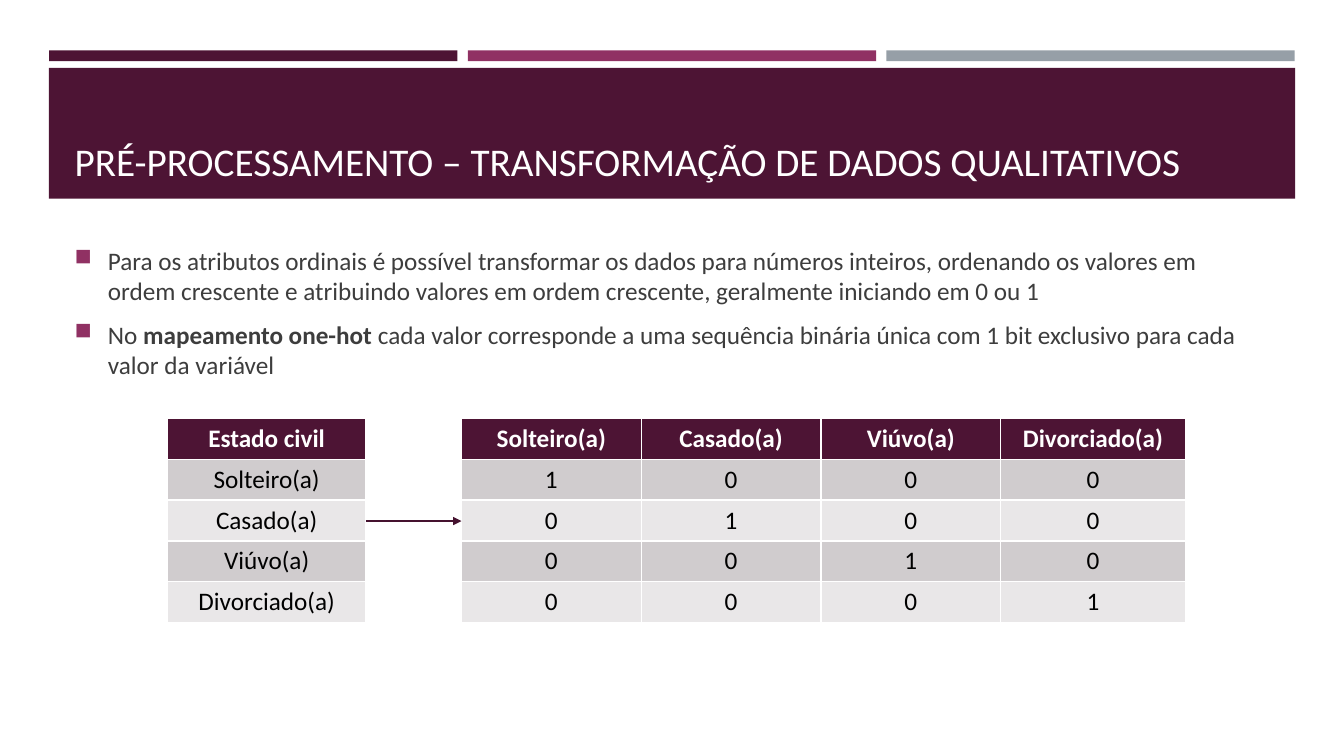
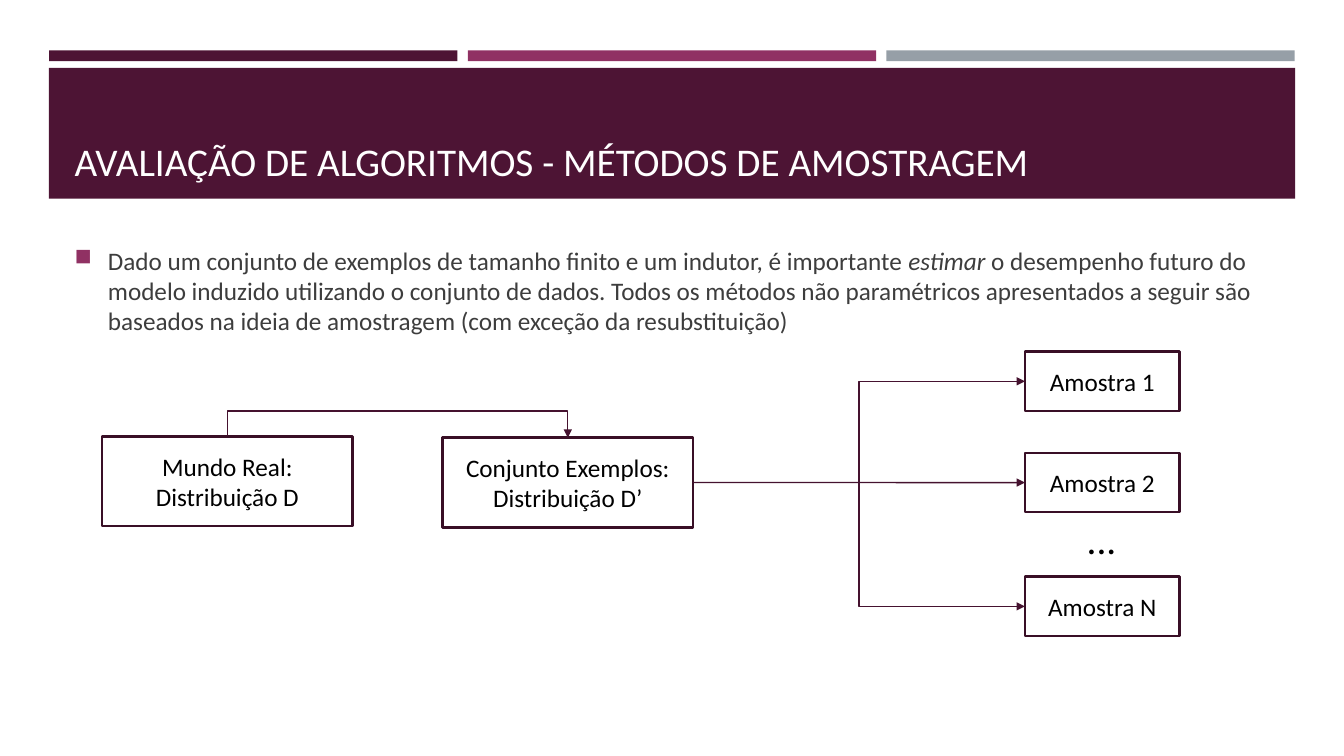
from lxml import etree
from pptx import Presentation
from pptx.dml.color import RGBColor
from pptx.enum.shapes import MSO_CONNECTOR as Link, MSO_SHAPE as Kind
from pptx.enum.text import MSO_ANCHOR as Anchor, PP_ALIGN as Align
from pptx.oxml.ns import qn
from pptx.util import Cm, Pt

FONT = "Calibri"
PLUM, ROSE, GRAY = "4D1434", "903163", "969FA7"
EDGE, ARROW = "390F26", "45122F"
INK, BLACK, WHITE = "3D3D3D", "000000", "FFFFFF"
STRIPES = ["D0CCCE", "E9E7E8"]

CODING = {
    "title": "PRÉ-PROCESSAMENTO – TRANSFORMAÇÃO DE DADOS QUALITATIVOS",
    "body": [
        [("Para os atributos ordinais é possível transformar os dados para "
          "números inteiros, ordenando os valores em ordem crescente e "
          "atribuindo valores em ordem crescente, geralmente iniciando em "
          "0 ou 1", "")],
        [("No ", ""), ("mapeamento one-hot ", "b"),
         ("cada valor corresponde a uma sequência binária única com 1 bit "
          "exclusivo para cada valor da variável", "")],
    ],
}
STATES = ["Solteiro(a)", "Casado(a)", "Viúvo(a)", "Divorciado(a)"]

SAMPLING = {
    "title": "AVALIAÇÃO DE ALGORITMOS - MÉTODOS DE AMOSTRAGEM",
    "body": [
        [("Dado um conjunto de exemplos de tamanho finito e um indutor, é "
          "importante ", ""), ("estimar", "i"),
         (" o desempenho futuro do modelo induzido utilizando o conjunto de "
          "dados. Todos os métodos não paramétricos apresentados a seguir "
          "são baseados na ideia de amostragem (com exceção da "
          "resubstituição)", "")],
    ],
}
WORLD = ("Mundo Real: Distribuição D", 2.57, 11)
DATA = ("Conjunto Exemplos: Distribuição D’", 11.15, 11.03)
SAMPLES = [
    ("Amostra 1", 8.86, Link.ELBOW),
    ("Amostra 2", 11.41, Link.STRAIGHT),
    ("Amostra N", 14.53, Link.ELBOW),
]


def color(code):
    return RGBColor.from_string(code)


def style(run, size, code, bold=False, italic=False):
    font = run.font
    font.name, font.size = FONT, Pt(size)
    font.bold, font.italic = bold, italic
    font.color.rgb = color(code)


def write(frame, text, size, code, align=Align.CENTER, bold=False):
    frame.text = text
    para = frame.paragraphs[0]
    para.alignment = align
    style(para.runs[0], size, code, bold)


def add_text(slide, left, top, width, height):
    frame = slide.shapes.add_textbox(
        Cm(left), Cm(top), Cm(width), Cm(height)).text_frame
    frame.word_wrap = True
    return frame


def add_rect(slide, left, top, width, height, fill=None):
    rect = slide.shapes.add_shape(
        Kind.RECTANGLE, Cm(left), Cm(top), Cm(width), Cm(height))
    rect.shadow.inherit = False
    if fill:
        rect.fill.solid()
        rect.fill.fore_color.rgb = color(fill)
        rect.line.fill.background()
    else:
        rect.fill.background()
        rect.line.color.rgb = color(EDGE)
        rect.line.width = Pt(1.75)
    return rect


def add_box(slide, text, left, top, width, height):
    box = add_rect(slide, left, top, width, height)
    box.text_frame.word_wrap = True
    box.text_frame.vertical_anchor = Anchor.MIDDLE
    write(box.text_frame, text, 18, BLACK)
    return box


def add_arrow(slide, kind, start=(0, 0), end=(0, 0)):
    line = slide.shapes.add_connector(kind, *map(Cm, start + end))
    line.line.color.rgb = color(ARROW)
    line.line.width = Pt(1)
    etree.SubElement(line.line._get_or_add_ln(), qn("a:tailEnd"),
                     type="triangle")
    etree.SubElement(line._element.spPr, qn("a:effectLst"))
    return line


def join(line, start, side, end, goal):
    line.begin_connect(start, side)
    line.end_connect(end, goal)


def add_bullet(para):
    para.space_before, para.space_after = Pt(3.6), Pt(6)
    props = para._p.get_or_add_pPr()
    props.set("marL", str(Cm(0.84)))
    props.set("indent", str(-Cm(0.84)))
    tint = etree.SubElement(props, qn("a:buClr"))
    etree.SubElement(tint, qn("a:srgbClr"), val=ROSE)
    etree.SubElement(props, qn("a:buSzPct"), val="92000")
    etree.SubElement(props, qn("a:buChar"), char="■")


def add_page(deck, page):
    slide = deck.slides.add_slide(deck.slide_layouts[6])
    for i, fill in enumerate([PLUM, ROSE, GRAY]):
        add_rect(slide, 1.24 + i * 10.55, 1.27, 10.29, 0.27, fill)
    add_rect(slide, 1.23, 1.71, 31.41, 3.3, PLUM)
    head = add_text(slide, 1.63, 1.95, 30.63, 2.82)
    head.vertical_anchor = Anchor.BOTTOM
    write(head, page["title"], 28, WHITE, Align.LEFT)
    body = add_text(slide, 1.63, 6.05, 30.63, 10.21)
    for i, parts in enumerate(page["body"]):
        para = body.add_paragraph() if i else body.paragraphs[0]
        add_bullet(para)
        for text, mark in parts:
            run = para.add_run()
            run.text = text
            style(run, 18, INK, mark == "b", mark == "i")
    return slide


def add_grid(slide, left, widths, rows):
    high = 1.03
    grid = slide.shapes.add_table(
        len(rows), len(widths), Cm(left), Cm(10.54),
        Cm(sum(widths)), Cm(high * len(rows))).table
    for col, width in zip(grid.columns, widths):
        col.width = Cm(width)
    for r, row in enumerate(rows):
        grid.rows[r].height = Cm(high)
        for c, text in enumerate(row):
            cell = grid.cell(r, c)
            cell.fill.solid()
            cell.fill.fore_color.rgb = color(
                STRIPES[(r - 1) % 2] if r else PLUM)
            write(cell.text_frame, text, 18, BLACK if r else WHITE,
                  bold=r == 0)


def draw_coding(deck):
    slide = add_page(deck, CODING)
    add_grid(slide, 4.22, [5], [[name] for name in ["Estado civil"] + STATES])
    bits = [["1" if a == b else "0" for b in STATES] for a in STATES]
    add_grid(slide, 11.63, [4.53, 4.53, 4.53, 4.65], [STATES] + bits)
    add_arrow(slide, Link.STRAIGHT, (9.22, 13.13), (11.63, 13.13))


def add_bridge(slide, start, end, rise):
    line = add_arrow(slide, Link.ELBOW)
    join(line, start, 0, end, 0)
    span, drop = end.left - start.left, end.top - start.top
    line.left = start.left + (start.width + span - drop) // 2
    line.top = start.top + (drop - span) // 2
    line.width, line.height = drop, span
    frame = line._element.spPr.find(qn("a:xfrm"))
    frame.set("rot", "16200000")
    frame.set("flipH", "1")
    bends = line._element.spPr.find(qn("a:prstGeom")).find(qn("a:avLst"))
    etree.SubElement(bends, qn("a:gd"), name="adj1",
                     fmla=f"val {-round(Cm(rise) / drop * 100000)}")


def draw_sampling(deck):
    slide = add_page(deck, SAMPLING)
    world, data = [add_box(slide, *item, 6.32, 2.26)
                   for item in (WORLD, DATA)]
    add_bridge(slide, world, data, 0.64)
    for text, top, kind in SAMPLES:
        box = add_box(slide, text, 25.83, top, 3.9, 1.5)
        join(add_arrow(slide, kind), data, 3, box, 1)
    write(add_text(slide, 26.06, 12.85, 3.4, 1.45), "...", 28, BLACK)


def main():
    deck = Presentation()
    deck.slide_width, deck.slide_height = Cm(33.87), Cm(19.05)
    draw_coding(deck)
    draw_sampling(deck)
    deck.save("out.pptx")


if __name__ == "__main__":
    main()
